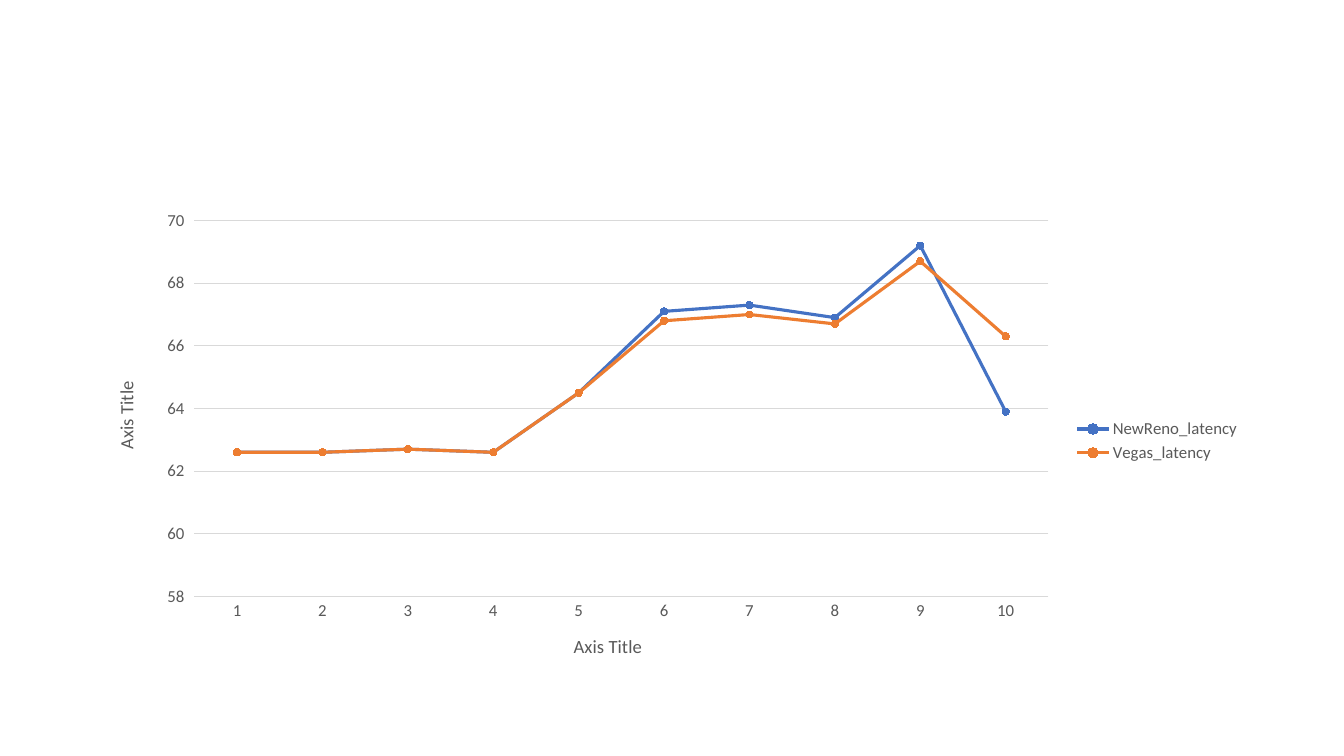
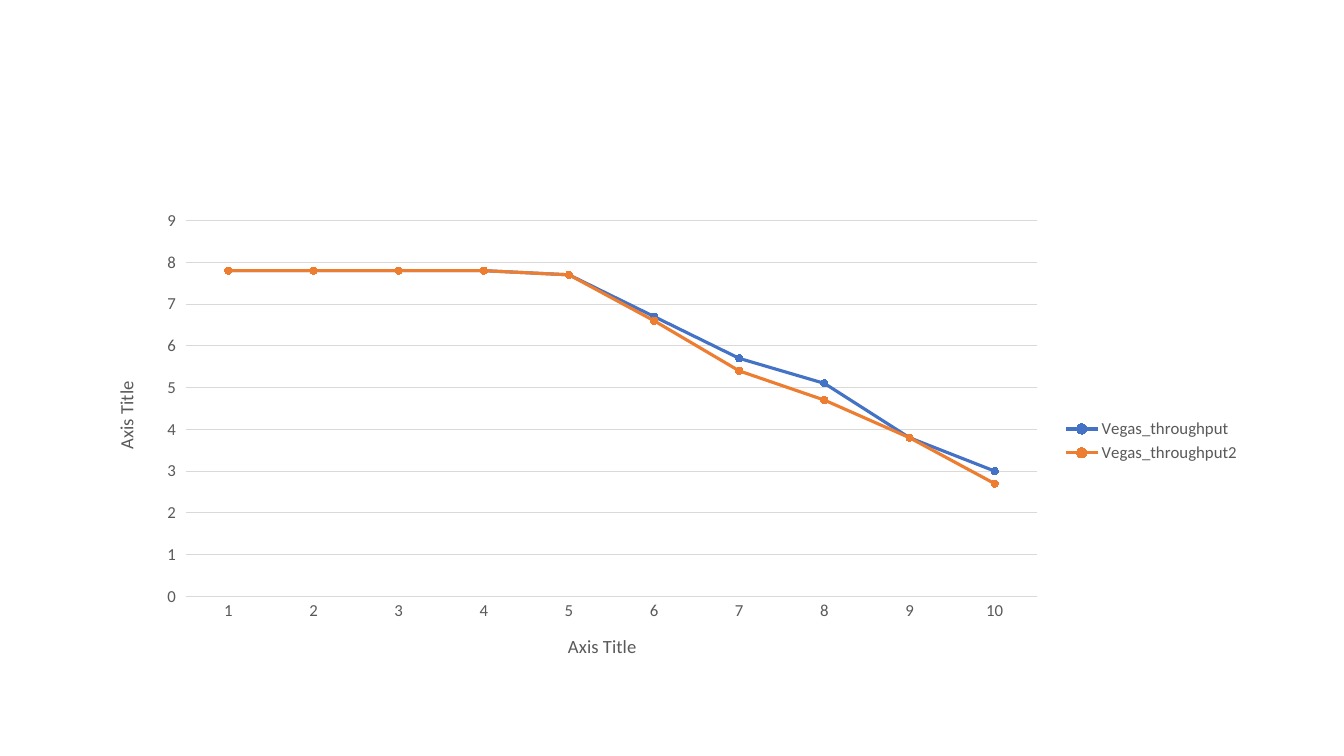
from dataclasses import dataclass

from pptx import Presentation
from pptx.chart.axis import CategoryAxis, ValueAxis
from pptx.chart.chart import Chart
from pptx.chart.data import CategoryChartData
from pptx.chart.series import LineSeries
from pptx.dml.color import RGBColor
from pptx.dml.line import LineFormat
from pptx.enum.chart import XL_CHART_TYPE, XL_LEGEND_POSITION, XL_MARKER_STYLE, XL_TICK_MARK
from pptx.slide import SlideLayout
from pptx.text.text import Font
from pptx.util import Emu, Pt

EMU_PER_PIXEL = 914400 / 100.8
SLIDE_SIZE = (1344, 756)
CHART_BOX = (92, 201, 1159, 480)
RUNS = range(1, 11)
AXIS_CAPTION = "Axis Title"
QUARTER_TURN_LEFT = "-5400000"


@dataclass(frozen=True)
class Theme:
    """Colours, font and sizes shared by the slides."""

    font: str = "Calibri"
    text: RGBColor = RGBColor(0x59, 0x59, 0x59)
    grid: RGBColor = RGBColor(0xD9, 0xD9, 0xD9)
    accents: tuple[RGBColor, ...] = (
        RGBColor(0x44, 0x72, 0xC4),
        RGBColor(0xED, 0x7D, 0x31),
    )
    label_size: float = 12
    caption_size: float = 13.3
    grid_width: float = 0.75
    series_width: float = 2.25
    marker_size: int = 5


@dataclass(frozen=True)
class Measure:
    """One measured quantity: its series and its value scale."""

    series: dict[str, tuple[float, ...]]
    minimum: float
    maximum: float
    step: float
    number_format: str = "General"


THEME = Theme()

LATENCY = Measure(
    series={
        "NewReno_latency": (62.6, 62.6, 62.7, 62.6, 64.5, 67.1, 67.3, 66.9, 69.2, 63.9),
        "Vegas_latency": (62.6, 62.6, 62.7, 62.6, 64.5, 66.8, 67.0, 66.7, 68.7, 66.3),
    },
    minimum=58,
    maximum=70,
    step=2,
)
THROUGHPUT = Measure(
    series={
        "Vegas_throughput": (7.8, 7.8, 7.8, 7.8, 7.7, 6.7, 5.7, 5.1, 3.8, 3.0),
        "Vegas_throughput2": (7.8, 7.8, 7.8, 7.8, 7.7, 6.6, 5.4, 4.7, 3.8, 2.7),
    },
    minimum=0,
    maximum=9,
    step=1,
)


def px(pixels: float) -> Emu:
    """Turn pixels into EMU."""
    return Emu(round(pixels * EMU_PER_PIXEL))


def style_font(font: Font, size: float) -> None:
    """Give text the theme's font and colour at the given size."""
    font.name = THEME.font
    font.size = Pt(size)
    font.bold = False
    font.color.rgb = THEME.text


def style_line(line: LineFormat, color: RGBColor, width: float) -> None:
    """Give a line a solid colour and a width in points."""
    line.color.rgb = color
    line.width = Pt(width)


def caption_axis(axis: CategoryAxis | ValueAxis) -> None:
    """Style an axis's labels and add its caption."""
    style_font(axis.tick_labels.font, THEME.label_size)
    caption = axis.axis_title.text_frame
    caption.text = AXIS_CAPTION
    style_font(caption.paragraphs[0].font, THEME.caption_size)


def style_axes(chart: Chart, measure: Measure) -> None:
    """Set up the run axis and the value axis."""
    run_axis, value_axis = chart.category_axis, chart.value_axis
    caption_axis(run_axis)
    run_axis.major_tick_mark = XL_TICK_MARK.NONE
    style_line(run_axis.format.line, THEME.grid, THEME.grid_width)

    caption_axis(value_axis)
    value_axis._element.xpath("c:title//a:bodyPr")[0].set("rot", QUARTER_TURN_LEFT)
    value_axis.minimum_scale = measure.minimum
    value_axis.maximum_scale = measure.maximum
    value_axis.major_unit = measure.step
    value_axis.tick_labels.number_format = measure.number_format
    value_axis.tick_labels.number_format_is_linked = False
    value_axis.format.line.fill.background()
    style_line(value_axis.major_gridlines.format.line, THEME.grid, THEME.grid_width)


def style_series(series: LineSeries, color: RGBColor) -> None:
    """Draw a series as straight lines with round markers."""
    series.smooth = False
    style_line(series.format.line, color, THEME.series_width)
    marker = series.marker
    marker.style = XL_MARKER_STYLE.CIRCLE
    marker.size = THEME.marker_size
    marker.format.fill.solid()
    marker.format.fill.fore_color.rgb = color
    marker.format.line.color.rgb = color


def add_measure_slide(deck: Presentation, layout: SlideLayout, measure: Measure) -> None:
    """Add a slide with the line chart of one measure."""
    data = CategoryChartData()
    data.categories = [str(run) for run in RUNS]
    for name, values in measure.series.items():
        data.add_series(name, values)

    slide = deck.slides.add_slide(layout)
    chart = slide.shapes.add_chart(
        XL_CHART_TYPE.LINE_MARKERS, *map(px, CHART_BOX), data
    ).chart
    style_font(chart.font, THEME.label_size)
    chart.has_title = False
    chart.has_legend = True
    chart.legend.position = XL_LEGEND_POSITION.RIGHT
    chart.legend.include_in_layout = False
    style_font(chart.legend.font, THEME.label_size)
    style_axes(chart, measure)
    plot = chart.plots[0]
    plot.vary_by_categories = False
    for series, color in zip(plot.series, THEME.accents):
        style_series(series, color)


def main() -> None:
    """Build and save the deck."""
    deck = Presentation()
    deck.slide_width, deck.slide_height = map(px, SLIDE_SIZE)
    blank_layout = deck.slide_layouts[6]
    for measure in (LATENCY, THROUGHPUT):
        add_measure_slide(deck, blank_layout, measure)
    deck.save("out.pptx")


main()
